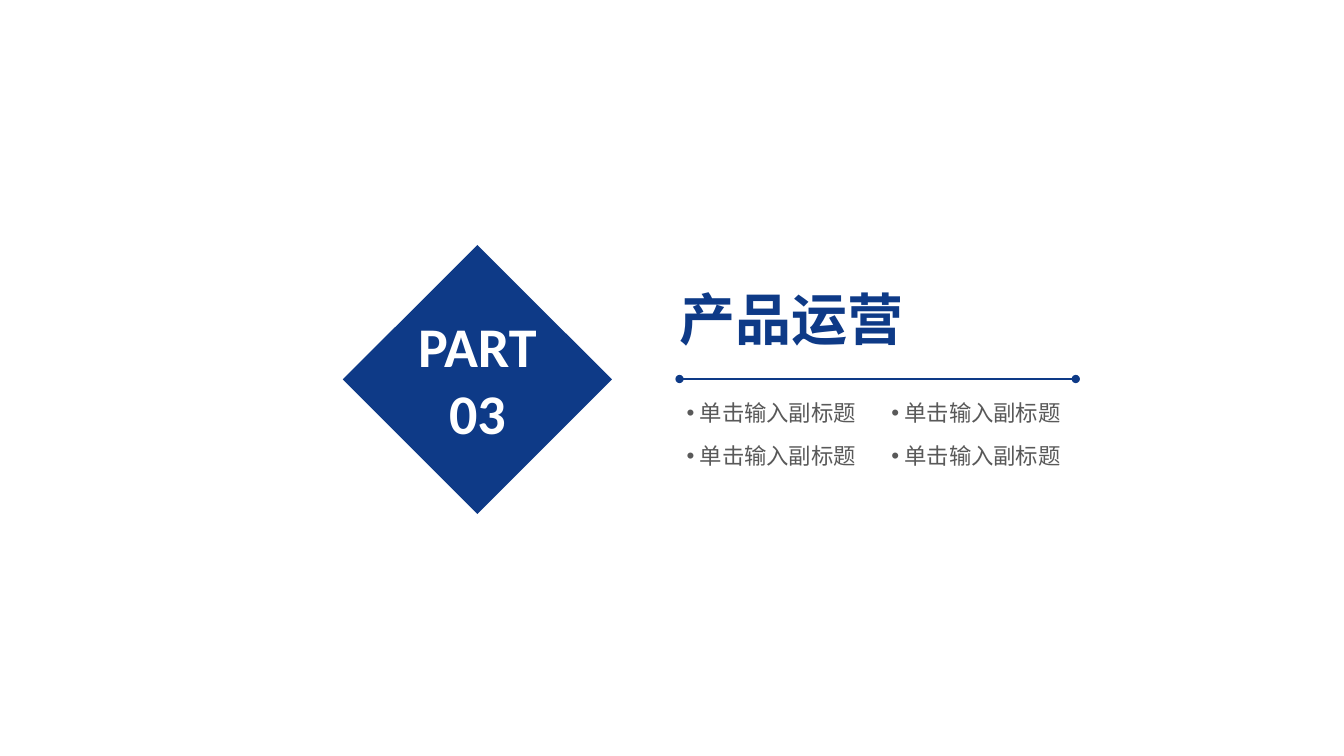
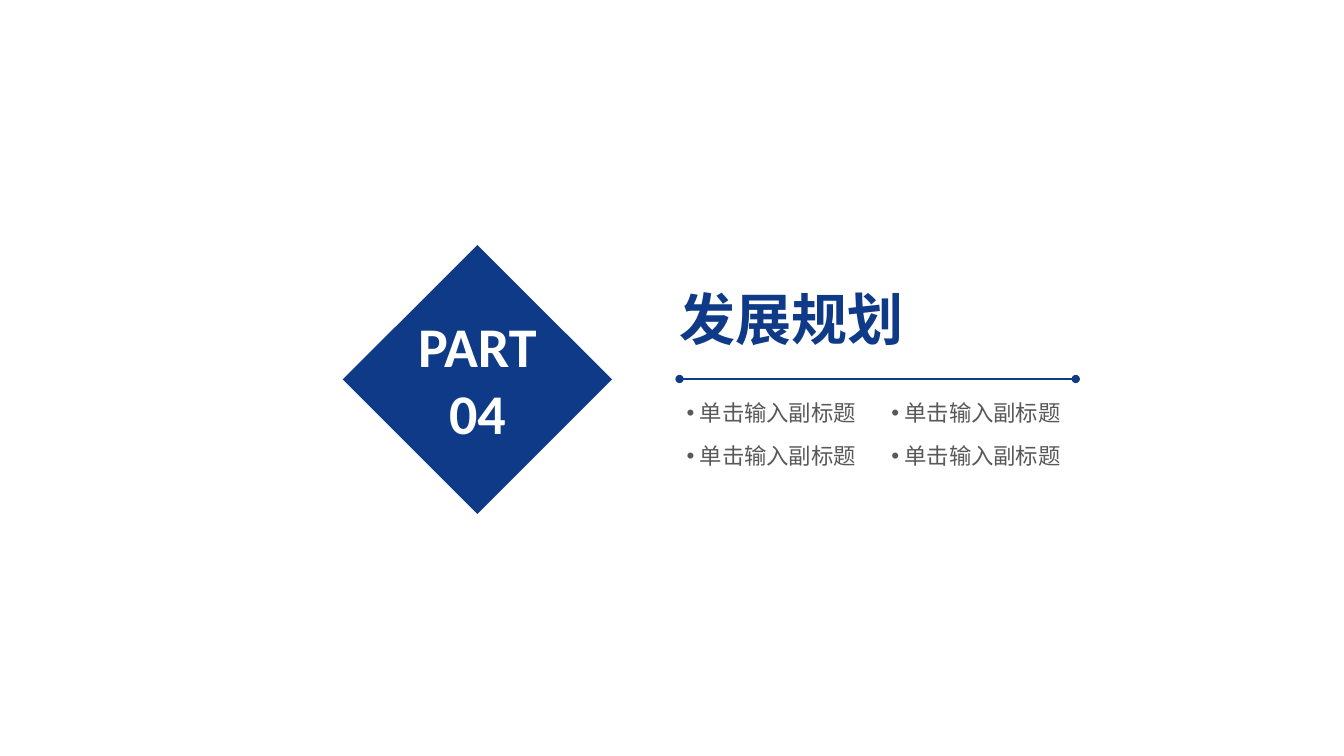
from dataclasses import dataclass

from lxml import etree
from pptx import Presentation
from pptx.dml.color import RGBColor
from pptx.enum.shapes import MSO_CONNECTOR, MSO_SHAPE
from pptx.enum.text import MSO_AUTO_SIZE, PP_ALIGN
from pptx.oxml.ns import qn
from pptx.util import Inches, Pt

DIAMOND = MSO_SHAPE.DIAMOND
STRAIGHT = MSO_CONNECTOR.STRAIGHT
GROW = MSO_AUTO_SIZE.SHAPE_TO_FIT_TEXT
LEFT, CENTER = PP_ALIGN.LEFT, PP_ALIGN.CENTER


@dataclass(frozen=True)
class Theme:
    navy: RGBColor = RGBColor(0x0E, 0x3A, 0x87)
    grey: RGBColor = RGBColor(0x59, 0x59, 0x59)
    white: RGBColor = RGBColor(0xFF, 0xFF, 0xFF)
    heading_size: int = 40
    subtitle_size: int = 16
    rule_width: int = 1
    line_spacing: float = 0.9
    bullet_indent: float = 0.13
    cjk_font: str = "Noto Sans CJK SC"
    part_font: str = "Calibri"
    subtitle_font: str = "Arial"


class Deck:
    def __init__(self, theme):
        self.theme = theme
        self.prs = Presentation()
        self.prs.slide_width = Inches(13.33)
        self.prs.slide_height = Inches(7.5)
        self.slide = None

    def new_slide(self):
        self.slide = self.prs.slides.add_slide(self.prs.slide_layouts[6])

    def diamond(self, left, top, size):
        shape = self.slide.shapes.add_shape(
            DIAMOND, Inches(left), Inches(top), Inches(size), Inches(size))
        shape.shadow.inherit = False
        shape.fill.solid()
        shape.fill.fore_color.rgb = self.theme.navy
        shape.line.fill.background()

    def dotted_end_rule(self, left, right, y):
        rule = self.slide.shapes.add_connector(
            STRAIGHT, Inches(left), Inches(y), Inches(right), Inches(y))
        rule.line.color.rgb = self.theme.navy
        rule.line.width = Pt(self.theme.rule_width)
        properties = rule._element.spPr
        outline = properties.find(qn("a:ln"))
        for end in ("a:headEnd", "a:tailEnd"):
            etree.SubElement(outline, qn(end), type="oval")
        etree.SubElement(properties, qn("a:effectLst"))

    def text(self, box, lines, font, size, color, bold=False, align=LEFT,
             inset=(0.1, 0.05), spacing=1.0, bullet=False):
        frame = self.slide.shapes.add_textbox(*map(Inches, box)).text_frame
        frame.word_wrap = True
        frame.auto_size = GROW
        frame.margin_left = frame.margin_right = Inches(inset[0])
        frame.margin_top = frame.margin_bottom = Inches(inset[1])
        for index, line in enumerate(lines):
            paragraph = frame.add_paragraph() if index else frame.paragraphs[0]
            paragraph.alignment = align
            paragraph.line_spacing = spacing
            if bullet:
                self.add_bullet(paragraph)
            run = paragraph.add_run()
            run.text = line
            run.font.size = Pt(size)
            run.font.bold = bold
            run.font.color.rgb = color
            run.font.name = font
            etree.SubElement(run.font._element, qn("a:ea"),
                             typeface=self.theme.cjk_font)

    def add_bullet(self, paragraph):
        properties = paragraph._p.get_or_add_pPr()
        indent = Inches(self.theme.bullet_indent)
        properties.set("marL", str(indent))
        properties.set("indent", str(-indent))
        etree.SubElement(properties, qn("a:buFont"),
                         typeface=self.theme.subtitle_font)
        etree.SubElement(properties, qn("a:buChar"), char="•")

    def section(self, number, title, subtitles):
        theme = self.theme
        content_left, content_right = 6.74, 10.67
        self.new_slide()

        # Section marker
        self.diamond(3.4, 2.43, 2.67)

        # Title above the rule
        self.dotted_end_rule(content_left, content_right, 3.76)
        self.text((content_left, 2.9, 2.77, 0.67), [title], theme.cjk_font,
                  theme.heading_size, theme.navy, bold=True, inset=(0, 0),
                  spacing=theme.line_spacing)

        # Subtitles in two columns, filled row by row
        for index, subtitle in enumerate(subtitles):
            row, column = divmod(index, 2)
            self.text((content_left + 2.03 * column, 3.95 + 0.43 * row, 1.9, 0.34),
                      [subtitle], theme.subtitle_font, theme.subtitle_size,
                      theme.grey, inset=(0.07, 0.04),
                      spacing=theme.line_spacing, bullet=True)

        # Part number over the diamond
        self.text((3.68, 3.04, 2.11, 1.45), ["PART", number], theme.part_font,
                  theme.heading_size, theme.white, bold=True, align=CENTER)


def main():
    deck = Deck(Theme())
    subtitles = ["单击输入副标题"] * 4
    for number, title in (("03", "产品运营"), ("04", "发展规划")):
        deck.section(number, title, subtitles)
    deck.prs.save("out.pptx")


if __name__ == "__main__":
    main()
